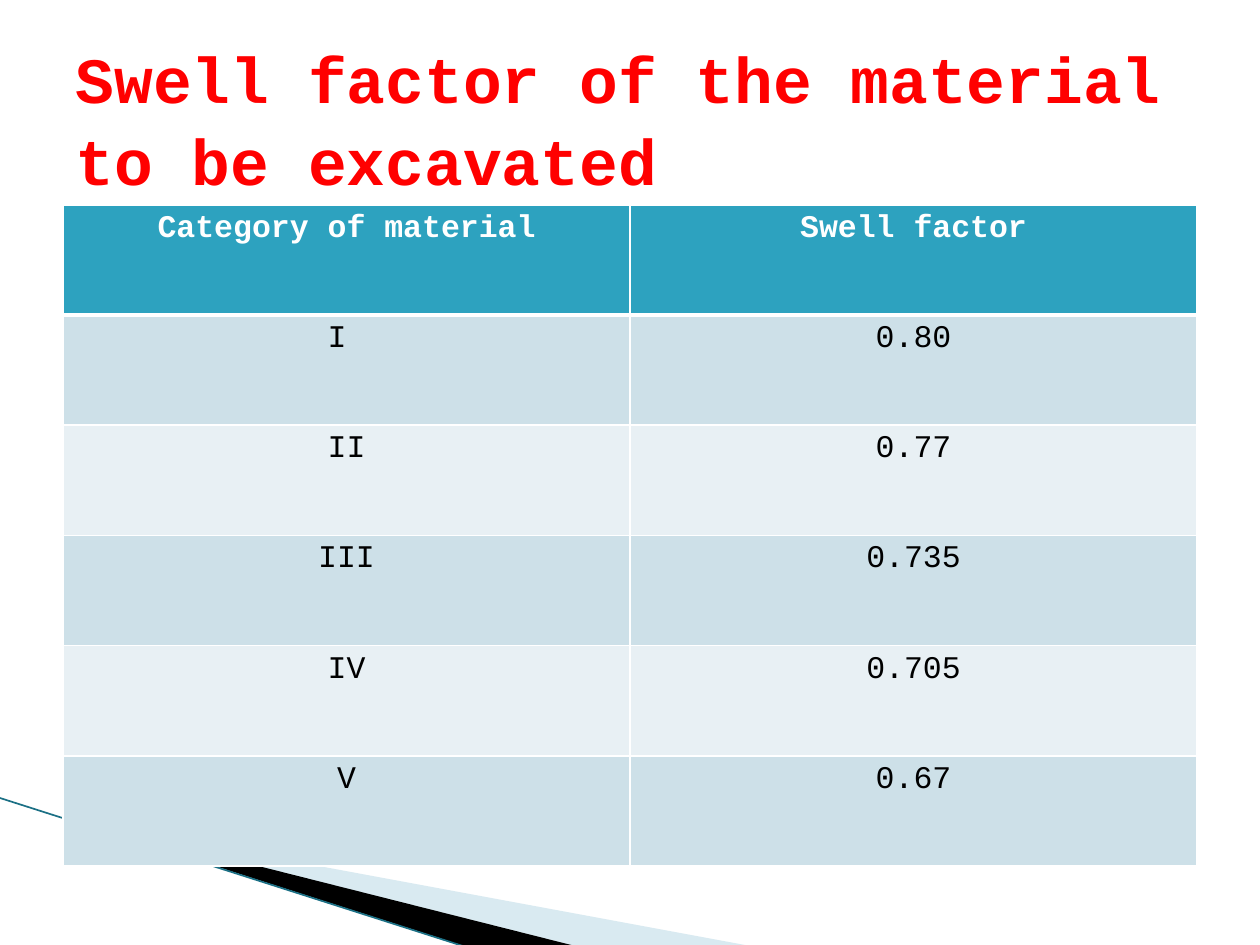
"""Build a slide with a table of swell factors by material category."""
from dataclasses import dataclass

from lxml.etree import SubElement
from pptx import Presentation
from pptx.dml.color import RGBColor as Color
from pptx.enum.shapes import MSO_CONNECTOR as Connector
from pptx.enum.text import MSO_ANCHOR as Anchor, MSO_AUTO_SIZE as AutoSize, PP_ALIGN as Align
from pptx.oxml.ns import qn
from pptx.util import Pt


@dataclass(frozen=True)
class Theme:
    """Colours, font and type sizes of the slide."""
    font: str = "Courier New"
    title_size: float = 36.9
    cell_size: float = 18
    title: str = "FF0000"
    header: str = "2DA2BF"
    bands: tuple = ("CDE0E8", "E8F0F4")
    white: str = "FFFFFF"
    black: str = "000000"
    wedge: str = "A0CBDC"
    edge: str = "1B7085"


class SlideBuilder:
    """Draw styled elements on the current page."""

    def __init__(self, page, theme):
        """Keep the page and its theme."""
        self.page = page
        self.theme = theme

    def style(self, para, size, color, bold=False):
        """Set the font of a whole paragraph."""
        font = para.font
        font.name, font.size, font.bold = self.theme.font, Pt(size), bold
        font.color.rgb = Color.from_string(color)

    def title(self, text, left, top, width, height):
        """Place and fill the title placeholder."""
        box = self.page.shapes.title
        box.left, box.top, box.width, box.height = map(Pt, (left, top, width, height))
        frame = box.text_frame
        frame.text = text
        frame.word_wrap = True
        frame.auto_size = AutoSize.NONE
        frame.vertical_anchor = Anchor.MIDDLE
        para = frame.paragraphs[0]
        para.alignment = Align.LEFT
        para.line_spacing = 1.06
        self.style(para, self.theme.title_size, self.theme.title, bold=True)

    def polygon(self, points, color, opacity=100):
        """Draw a filled outline without a line."""
        start, *rest = [(Pt(x), Pt(y)) for x, y in points]
        builder = self.page.shapes.build_freeform(*start)
        builder.add_line_segments(rest, close=True)
        shape = builder.convert_to_shape()
        shape.shadow.inherit = False
        shape.line.fill.background()
        shape.fill.solid()
        shape.fill.fore_color.rgb = Color.from_string(color)
        if opacity < 100:
            tint = shape.fill._xPr.find(".//" + qn("a:srgbClr"))
            SubElement(tint, qn("a:alpha"), val=str(opacity * 1000))

    def line(self, start, end, color, width):
        """Draw a straight line."""
        ends = map(Pt, (*start, *end))
        connector = self.page.shapes.add_connector(Connector.STRAIGHT, *ends)
        connector.line.color.rgb = Color.from_string(color)
        connector.line.width = Pt(width)
        SubElement(connector._element.spPr, qn("a:effectLst"))

    def border(self, cell, side, width):
        """Add one white border to a cell."""
        edge = SubElement(cell._tc.get_or_add_tcPr(), qn(f"a:ln{side}"), w=str(Pt(width)))
        fill = SubElement(edge, qn("a:solidFill"))
        SubElement(fill, qn("a:srgbClr"), val=self.theme.white)

    def cell(self, cell, text, row):
        """Fill a table cell according to its row."""
        theme = self.theme
        header = row == 0
        for side in "LRTB":
            thick = (row, side) in ((0, "B"), (1, "T"))
            self.border(cell, side, 3 if thick else 1)
        color = theme.header if header else theme.bands[(row - 1) % 2]
        cell.fill.solid()
        cell.fill.fore_color.rgb = Color.from_string(color)
        cell.text = text
        para = cell.text_frame.paragraphs[0]
        para.alignment = Align.CENTER
        self.style(para, theme.cell_size, theme.white if header else theme.black, header)

    def table(self, rows, left, top, width, row_height):
        """Add a table with equal columns and rows."""
        count = len(rows)
        area = map(Pt, (left, top, width, row_height * count))
        table = self.page.shapes.add_table(count, len(rows[0]), *area).table
        for row, texts in enumerate(rows):
            table.rows[row].height = Pt(row_height)
            for column, text in enumerate(texts):
                self.cell(table.cell(row, column), text, row)


def main():
    """Build and save the deck."""
    deck = Presentation()
    deck.slide_width, deck.slide_height = Pt(720), Pt(540)
    theme = Theme()
    slide = SlideBuilder(deck.slides.add_slide(deck.slide_layouts[5]), theme)

    slide.polygon([(39.6, 468.5), (428.4, 540.5), (328.3, 540.5), (39.6, 468)], theme.wedge, 40)
    slide.polygon([(38.2, 467.3), (329, 540.7), (267.8, 541.4), (38.9, 468)], theme.black)
    slide.line((-0.7, 455.8), (267.1, 541.4), theme.edge, 0.95)

    slide.title("Swell factor of the material to be excavated", 36, 21.6, 648, 90)
    factors = [
        ("Category of material", "Swell factor"),
        ("I ", "0.80"),
        ("II", "0.77"),
        ("III", "0.735"),
        ("IV", "0.705"),
        ("V", "0.67"),
    ]
    slide.table(factors, left=36, top=117, width=648, row_height=63)
    deck.save("out.pptx")


if __name__ == "__main__":
    main()
